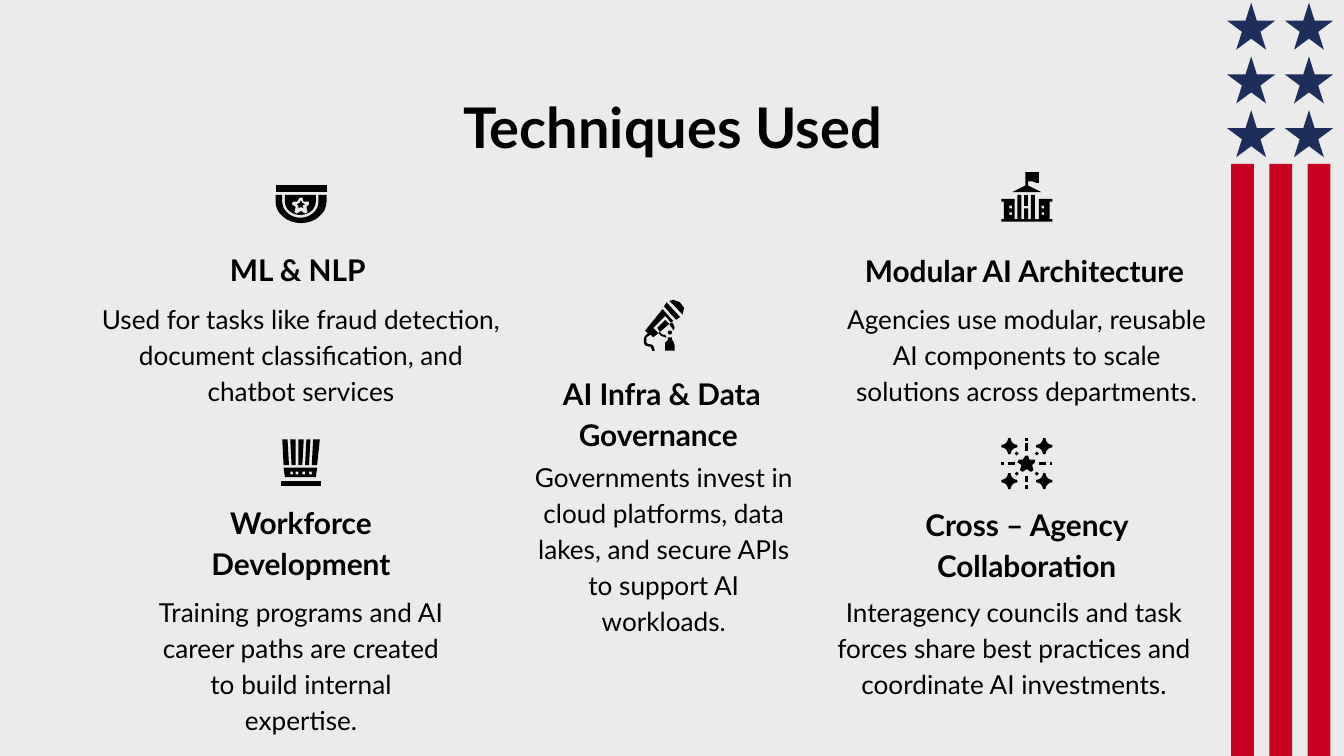
from itertools import product
from math import cos, radians, sin

from pptx import Presentation
from pptx import util as u
from pptx.dml.color import RGBColor
from pptx.enum import shapes, text

BACKGROUND = RGBColor(0xEB, 0xEB, 0xEB)
RED = RGBColor(0xC9, 0x02, 0x20)
NAVY = RGBColor(0x1E, 0x2E, 0x5C)
BLACK = RGBColor(0, 0, 0)
FONT = "Lato"


def rectangle(left, top, width, height):
    """Return the corners of a rectangle."""
    right, bottom = left + width, top + height
    return [(left, top), (left, bottom), (right, bottom), (right, top)]


def arc(x, y, radius_x, radius_y, start, end, steps=16):
    """Return points along an elliptical arc, with angles in degrees."""
    angles = [radians(start + (end - start) * step / steps) for step in range(steps + 1)]
    return [(x + radius_x * cos(angle), y + radius_y * sin(angle)) for angle in angles]


def shift(points, x, y):
    """Return the points moved by x and y."""
    return [(point_x + x, point_y + y) for point_x, point_y in points]


def badge_outlines():
    """Return the outlines of the round badge with a star."""
    bowl = [(0, 7), *arc(19, 12, 19, 16, 180, 0), (38, 7),
            (32, 7), *arc(18.5, 12, 13.5, 12, 0, 180), (5, 7)]
    disc = [(7, 7), *arc(18.5, 12, 11.5, 10, 180, 0), (30, 7)]
    large_star = shift(BLUNT_STAR, 0, -4)
    small_star = [(19, 11), (18, 13), (16, 14), (17, 15), (17, 17),
                  (19, 16), (21, 17), (20, 15), (22, 14), (20, 13)]
    return [[rectangle(0, 0, 38, 5)], [bowl], [disc, large_star], [small_star]]


def building_outlines():
    """Return the outlines of the public building with a flag."""
    roof = [(20, 0), (18, 0), (18, 10), (8, 15), (30, 15), (20, 10), (20, 7),
            (23, 7), (26, 8), (28, 8), (28, 0)]
    walls = [(12, 17), (12, 35), (10, 35), (10, 20), (0, 20), (0, 22), (2, 22),
             (2, 35), (0, 35), (0, 37), (38, 37), (38, 35), (36, 35), (36, 22),
             (38, 22), (38, 20), (28, 20), (28, 35), (25, 35), (25, 17), (22, 17),
             (22, 35), (20, 35), (20, 27), (17, 27), (17, 35), (15, 35), (15, 17)]
    windows = [rectangle(x, y, 2, 2) for x, y in product((6, 30), (25, 30))]
    return [[rectangle(17, 17, 3, 8)], [roof], [walls, *windows]]


def microphone_outlines():
    """Return the outlines of the microphone with its cable."""
    parts = [
        [(16, 15), (10, 21), (12, 24), (19, 18)],
        [(14, 7), (1, 23), (3, 25), (1, 27), (0, 29), (0, 32), (1, 34), (4, 35),
         (5, 35), (6, 37), (6, 38), (8, 38), (8, 37), (7, 34), (5, 33), (3, 33),
         (2, 32), (2, 28), (5, 26), (7, 28), (11, 25), (7, 21), (16, 12), (20, 17),
         (22, 16)],
        [(17, 2), (15, 5), (24, 15), (27, 13)],
        [(19, 1), (29, 11), (30, 6), (27, 2), (22, 0)],
        [(21, 28), (18, 28), (18, 30), (16, 32), (16, 38), (23, 38), (23, 34),
         (22, 31), (21, 30)],
        arc(19.5, 24.5, 1.5, 1.5, 0, 360),
        [(21, 17), (19, 18), (20, 20), (21, 21), (22, 23), (23, 21), (22, 18)],
        [(12, 24), (11, 25), (13, 27), (16, 28), (17, 28), (16, 26), (14, 26)],
    ]
    return [[part] for part in parts]


def hat_outlines():
    """Return the outlines of the striped top hat."""
    edges = [(1, 5, 6, 2), (7, 11, 11, 8), (13, 17, 16, 13), (19, 22, 21, 18), (24, 29, 27, 23)]
    stripes = [[[(a, 0), (b, 0), (c, 19), (d, 19)]] for a, b, c, d in edges]
    band = [(2, 21), (3, 28), (26, 28), (27, 21)]
    holes = [rectangle(x, 24, 2, 2) for x in (7, 11, 16, 21)]
    return [*stripes, [band, *holes], [rectangle(0, 31, 30, 4)]]


def fireworks_outlines():
    """Return the outlines of the star with sparkles and rays."""
    sparkle = [*arc(0, 0, 5, 5, 0, 90), *arc(0, 12, 5, 5, -90, 0),
               *arc(12, 12, 5, 5, 180, 270), *arc(12, 0, 5, 5, 90, 180)]
    diamond = arc(0, 0, 1.5, 1.5, 0, 360, steps=4)
    rays = [(0, 18, 2, 2), (5, 18, 5, 2), (28, 18, 5, 2), (36, 18, 2, 2),
            (18, 0, 2, 2), (18, 4, 2, 6), (18, 28, 2, 5), (18, 35, 2, 3)]
    parts = [shift(sparkle, x, y) for x, y in product((0, 26), repeat=2)]
    parts += [shift(diamond, x, y) for x, y in product((11.5, 26.5), repeat=2)]
    parts += [rectangle(*ray) for ray in rays]
    return [[part] for part in [*parts, BLUNT_STAR]]


BLUNT_STAR = [(18, 13), (16, 16), (13, 16), (12, 18), (15, 20), (14, 24), (16, 25), (19, 23),
              (22, 25), (24, 24), (23, 20), (25, 18), (25, 16), (21, 16), (20, 13)]

TOPICS = [
    ("ML & NLP ", (1.16, 1.66, 2.16),
     "Used for tasks like fraud detection, document classification, and chatbot services",
     (0.62, 2.12, 3.24), badge_outlines, (2.05, 1.38)),
    ("AI Infra & Data Governance ", (3.48, 2.89, 2.89),
     "Governments invest in cloud platforms, data lakes, and secure APIs "
     "to support AI workloads.",
     (3.86, 3.3, 2.16), microphone_outlines, (4.79, 2.23)),
    ("Modular AI Architecture ", (6.26, 1.67, 2.78),
     "Agencies use modular, reusable AI components to scale solutions across departments.",
     (6.2, 2.12, 2.88), building_outlines, (7.45, 1.28)),
    ("Workforce Development", (1.16, 3.85, 2.16),
     "Training programs and AI career paths are created to build internal expertise.",
     (1.05, 4.3, 2.38), hat_outlines, (2.09, 3.27)),
    ("Cross – Agency Collaboration", (6.56, 3.86, 2.16),
     "Interagency councils and task forces share best practices and "
     "coordinate AI investments.",
     (5.99, 4.3, 3.11), fireworks_outlines, (7.45, 3.26)),
]


def fill_shape(shape, color):
    """Give a shape a plain fill without line or shadow."""
    shape.fill.solid()
    shape.fill.fore_color.rgb = color
    shape.line.fill.background()
    shape.shadow.inherit = False


def write_text(shape, words, size, bold=False, spacing=1.15, anchor=text.MSO_ANCHOR.TOP):
    """Write centred text into a shape."""
    frame = shape.text_frame
    frame.word_wrap = True
    frame.auto_size = text.MSO_AUTO_SIZE.NONE
    frame.vertical_anchor = anchor
    frame.margin_left = frame.margin_right = u.Inches(0.1)
    frame.margin_top = frame.margin_bottom = u.Inches(0.1)
    paragraph = frame.paragraphs[0]
    paragraph.alignment = text.PP_ALIGN.CENTER
    paragraph.line_spacing = spacing
    run = paragraph.add_run()
    run.text = words
    run.font.name = FONT
    run.font.size = u.Pt(size)
    run.font.bold = bold
    run.font.color.rgb = BLACK


def add_title(slide, words, left, top, width, height):
    """Place and format the title placeholder."""
    title = slide.shapes.title
    title.left, title.top = u.Inches(left), u.Inches(top)
    title.width, title.height = u.Inches(width), u.Inches(height)
    write_text(title, words, size=30, bold=True, spacing=1.0)


def add_flag_border(slide, left, top, height):
    """Draw the stars above the stripes along the slide edge."""
    group = slide.shapes.add_group_shape()
    pieces = [(shapes.MSO_SHAPE.RECTANGLE, RED, left + 0.03 + 0.285 * column, top + 1.2,
               0.17, height - 1.2) for column in range(3)]
    pieces += [(shapes.MSO_SHAPE.STAR_5_POINT, NAVY, left + 0.43 * column, top + 0.4 * row,
                0.36, 0.35) for row, column in product(range(3), range(2))]
    for kind, color, *box in pieces:
        fill_shape(group.shapes.add_shape(kind, *map(u.Inches, box)), color)


def add_icon(slide, outlines, left, top):
    """Draw grouped outlines given in hundredths of an inch."""
    group = slide.shapes.add_group_shape()
    for contours in outlines:
        scaled = [[(x * 10, y * 10) for x, y in contour] for contour in contours]
        builder = group.shapes.build_freeform(*scaled[0][0], scale=u.Inches(1) / 1000)
        builder.add_line_segments(scaled[0][1:])
        for contour in scaled[1:]:
            builder.move_to(*contour[0])
            builder.add_line_segments(contour[1:])
        fill_shape(builder.convert_to_shape(u.Inches(left), u.Inches(top)), BLACK)


def add_topic(slide, heading, heading_box, body, body_box, outlines, icon_corner):
    """Place a topic's icon, heading and description."""
    heading_shape = slide.shapes.add_textbox(*map(u.Inches, (*heading_box, 0.58)))
    write_text(heading_shape, heading, size=16, bold=True, anchor=text.MSO_ANCHOR.BOTTOM)
    body_shape = slide.shapes.add_textbox(*map(u.Inches, (*body_box, 0.63)))
    write_text(body_shape, body, size=14)
    add_icon(slide, outlines(), *icon_corner)


def main():
    """Build and save the presentation."""
    presentation = Presentation()
    presentation.slide_width = u.Inches(10)
    presentation.slide_height = presentation.slide_width * 9 // 16
    slide = presentation.slides.add_slide(presentation.slide_layouts[5])
    slide.background.fill.solid()
    slide.background.fill.fore_color.rgb = BACKGROUND
    add_flag_border(slide, left=9.13, top=0.02, height=5.61)
    add_title(slide, "Techniques Used", left=0.79, top=0.59, width=8.43, height=0.63)
    for topic in TOPICS:
        add_topic(slide, *topic)
    presentation.save("out.pptx")


if __name__ == "__main__":
    main()
